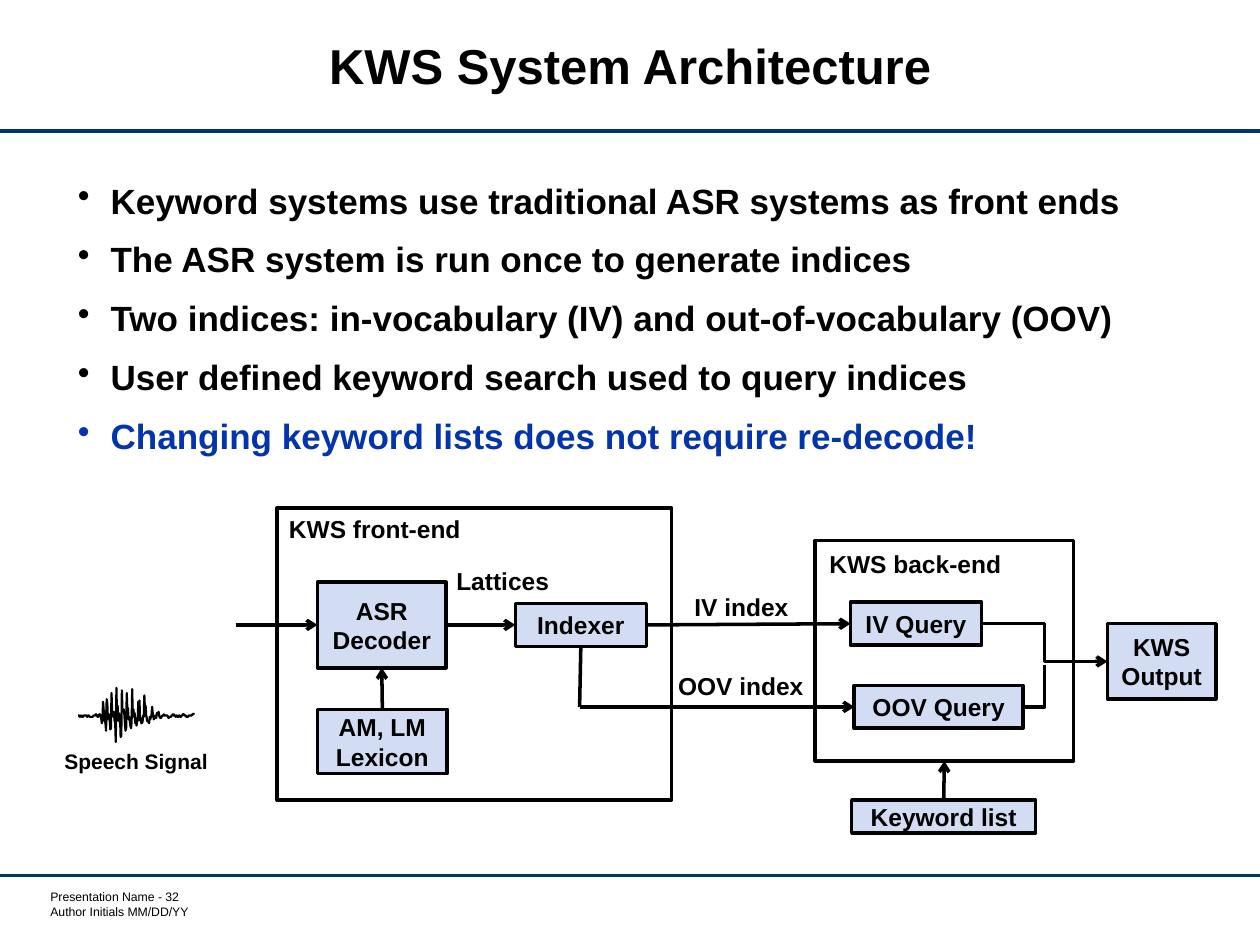
from dataclasses import dataclass

from lxml.etree import SubElement
from pptx import Presentation
from pptx.dml.color import RGBColor
from pptx.enum.shapes import MSO_CONNECTOR, MSO_SHAPE
from pptx.enum.text import MSO_ANCHOR, PP_ALIGN
from pptx.oxml.ns import qn
from pptx.util import Inches, Pt


@dataclass(frozen=True)
class Theme:
    face: str = "Arial"
    ink: RGBColor = RGBColor(0, 0, 0)
    paper: RGBColor = RGBColor(255, 255, 255)
    navy: RGBColor = RGBColor(0x00, 0x37, 0x67)
    blue: RGBColor = RGBColor(0x02, 0x34, 0xAD)
    pale: RGBColor = RGBColor(0xD2, 0xDC, 0xF2)
    title: Pt = Pt(28)
    body: Pt = Pt(20)
    label: Pt = Pt(14)
    small: Pt = Pt(12)
    foot: Pt = Pt(7)
    rule: Pt = Pt(1.75)
    edge: Pt = Pt(2)
    trace: Pt = Pt(1.25)


THEME = Theme()
TOP, LEFT, BOTTOM, RIGHT = range(4)

POINTS = [
    "Keyword systems use traditional ASR systems as front ends",
    "The ASR system is run once to generate indices",
    "Two indices: in-vocabulary (IV) and out-of-vocabulary (OOV)",
    "User defined keyword search used to query indices",
    "Changing keyword lists does not require re-decode!",
]

BOXES = {
    "decode": ("ASR Decoder", 2.52, 4.62, 1.02, 0.68),
    "model": ("AM, LM Lexicon", 2.52, 5.63, 1.03, 0.51),
    "index": ("Indexer", 4.09, 4.79, 1.04, 0.34),
    "iv": ("IV Query", 6.75, 4.78, 1.04, 0.34),
    "oov": ("OOV Query", 6.78, 5.44, 1.34, 0.34),
    "out": ("KWS\nOutput", 8.79, 4.95, 0.86, 0.6),
    "list": ("Keyword list", 6.76, 6.35, 1.46, 0.26),
    "front": ("", 2.2, 4.03, 3.13, 2.32),
    "back": ("", 6.47, 4.29, 2.05, 1.75),
}

LABELS = [
    ("Lattices", 3.52, 4.44, 0.94),
    ("KWS front-end", 2.19, 4.03, 1.57),
    ("IV index", 5.41, 4.65, 0.95),
    ("OOV index", 5.28, 5.28, 1.2),
    ("KWS back-end", 6.48, 4.31, 1.57),
]

BURST = [
    68, 68, 68, 69, 68, 69, 68, 69, 69, 68, 68, 68, 68, 68, 68, 69, 68, 68,
    68, 69, 69, 69, 69, 69, 69, 68, 68, 68, 68, 67, 67, 68, 69, 69, 68, 67,
    67, 68, 70, 74, 72, 57, 63, 65, 72, 74, 80, 55, 58, 71, 67, 67, 72, 79,
    78, 50, 66, 66, 69, 65, 72, 74, 89, 46, 69, 60, 72, 66, 73, 70, 85, 84,
    48, 65, 64, 63, 67, 74, 80, 78, 50, 63, 62, 71, 69, 72, 76, 78, 73, 47,
    69, 63, 68, 66, 74, 70, 76, 73, 72, 57, 64, 56, 72, 70, 74, 74, 73, 68,
    69, 52, 63, 60, 68, 70, 73,
]
DECAY = [
    73, 73, 73, 74, 69, 71, 69, 68, 61, 66, 68, 71, 70, 70, 68, 70, 66, 66,
    66, 65, 68, 69, 70, 70, 69, 68, 68, 68, 67, 68, 68, 68, 68, 68, 68, 69,
    70, 69, 69, 69, 69, 68, 68, 67, 68, 67, 68, 68, 69, 68, 68, 69, 68, 69,
    68, 68, 69, 69, 68, 68, 67, 67, 67, 68, 68, 68, 69, 69, 69, 69, 68, 68,
    68, 68, 68, 68, 67, 67, 67, 66,
]


def apply(item, form):
    for name, value in form.items():
        setattr(item, name, value)


def stroke(line, color, width):
    line.color.rgb = color
    line.width = width


def write(frame, lines, size, bold=True, color=THEME.ink, **form):
    for i, words in enumerate(lines):
        para = frame.paragraphs[0] if i == 0 else frame.add_paragraph()
        apply(para, form)
        run = para.add_run()
        run.text = words
        apply(run.font, {"name": THEME.face, "size": size, "bold": bold})
        run.font.color.rgb = color


def add_text(slide, lines, spot, size, frame=None, **form):
    box = slide.shapes.add_textbox(*map(Inches, spot))
    apply(box.text_frame, {"word_wrap": True, **(frame or {})})
    write(box.text_frame, lines, size, **form)
    return box.text_frame


def add_list(slide):
    frame = add_text(slide, POINTS, (0.52, 1.41, 8.96, 2.4), THEME.body,
                     line_spacing=0.9)
    for i, para in enumerate(frame.paragraphs):
        para.space_before = Pt(12 if i else 0)
        props = para._p.get_or_add_pPr()
        apply_to = {"marL": Inches(0.26), "indent": Inches(-0.26)}
        for name, value in apply_to.items():
            props.set(name, str(value))
        SubElement(props, qn("a:buChar"), char="•")
    frame.paragraphs[-1].runs[0].font.color.rgb = THEME.blue


def add_box(slide, words, *spot):
    box = slide.shapes.add_shape(MSO_SHAPE.RECTANGLE, *map(Inches, spot))
    box.shadow.inherit = False
    stroke(box.line, THEME.ink, THEME.edge)
    if not words:
        box.fill.background()
        return box
    box.fill.solid()
    box.fill.fore_color.rgb = THEME.pale
    apply(box.text_frame, {"word_wrap": True,
                           "vertical_anchor": MSO_ANCHOR.MIDDLE})
    write(box.text_frame, words.split("\n"), THEME.label,
          alignment=PP_ALIGN.CENTER)
    return box


def add_line(slide, start, end, arrow=True, kind=MSO_CONNECTOR.STRAIGHT,
             color=THEME.ink, width=THEME.edge):
    ends = [(0, 0) if hasattr(p[0], "shape_id") else p for p in (start, end)]
    line = slide.shapes.add_connector(
        kind, *(Inches(n) for p in ends for n in p))
    for p, join in ((start, line.begin_connect), (end, line.end_connect)):
        if hasattr(p[0], "shape_id"):
            join(*p)
    stroke(line.line, color, width)
    props = line.element.spPr
    if arrow:
        SubElement(props.find(qn("a:ln")), qn("a:tailEnd"), type="arrow")
    SubElement(props, qn("a:effectLst"))
    return line


def add_wave(slide, left, right, levels):
    step = (right - left) / (len(levels) - 1)
    dots = [(Inches(left + i * step), Inches(5 + y / 100))
            for i, y in enumerate(levels)]
    pen = slide.shapes.build_freeform(*dots[0], scale=1.0)
    pen.add_line_segments(dots[1:], close=False)
    wave = pen.convert_to_shape()
    wave.shadow.inherit = False
    wave.fill.solid()
    wave.fill.fore_color.rgb = THEME.paper
    stroke(wave.line, THEME.ink, THEME.trace)


def add_flow(slide):
    box = {name: add_box(slide, *args) for name, args in BOXES.items()}
    bend = (4.6, 5.61)
    for start, end in [
        ((1.87, 4.96), (box["decode"], LEFT)),
        ((box["model"], TOP), (box["decode"], BOTTOM)),
        ((box["decode"], RIGHT), (box["index"], LEFT)),
        ((box["index"], RIGHT), (box["iv"], LEFT)),
        (bend, (box["oov"], LEFT)),
        ((box["list"], TOP), (box["back"], BOTTOM)),
    ]:
        add_line(slide, start, end)
    add_line(slide, (box["index"], BOTTOM), bend, arrow=False)
    add_line(slide, (box["iv"], RIGHT), (box["out"], LEFT),
             kind=MSO_CONNECTOR.ELBOW)
    turn = add_line(slide, (box["oov"], RIGHT), (8.29, 5.28), arrow=False,
                    kind=MSO_CONNECTOR.ELBOW)
    turn.element.spPr.find(qn("a:prstGeom")).set("prst", "bentConnector2")


def main():
    deck = Presentation()
    apply(deck, {"slide_width": Inches(10), "slide_height": Inches(7.5)})
    slide = deck.slides.add_slide(deck.slide_layouts[6])
    for y in (1.04, 6.95):
        add_line(slide, (0, y), (10, y), arrow=False, color=THEME.navy,
                 width=THEME.rule)
    add_text(slide, ["Presentation Name - 32", "Author Initials MM/DD/YY"],
             (0.35, 7.06, 1.19, 0.24), THEME.foot, bold=False,
             frame={"margin_left": Inches(0.05), "margin_right": 0,
                    "margin_top": 0, "margin_bottom": 0})
    add_text(slide, ["KWS System Architecture"], (1.03, 0.11, 7.94, 0.89),
             THEME.title, frame={"vertical_anchor": MSO_ANCHOR.MIDDLE},
             alignment=PP_ALIGN.CENTER, line_spacing=Pt(28))
    add_list(slide)
    add_wave(slide, 0.62, 1.17, BURST)
    add_wave(slide, 1.17, 1.54, DECAY)
    add_text(slide, ["Speech Signal"], (0.29, 5.89, 1.58, 0.3), THEME.small,
             alignment=PP_ALIGN.CENTER)
    add_flow(slide)
    for words, x, y, wide in LABELS:
        add_text(slide, [words], (x, y, wide, 0.34), THEME.label,
                 frame={"word_wrap": False}, alignment=PP_ALIGN.CENTER)
    deck.save("out.pptx")


if __name__ == "__main__":
    main()
